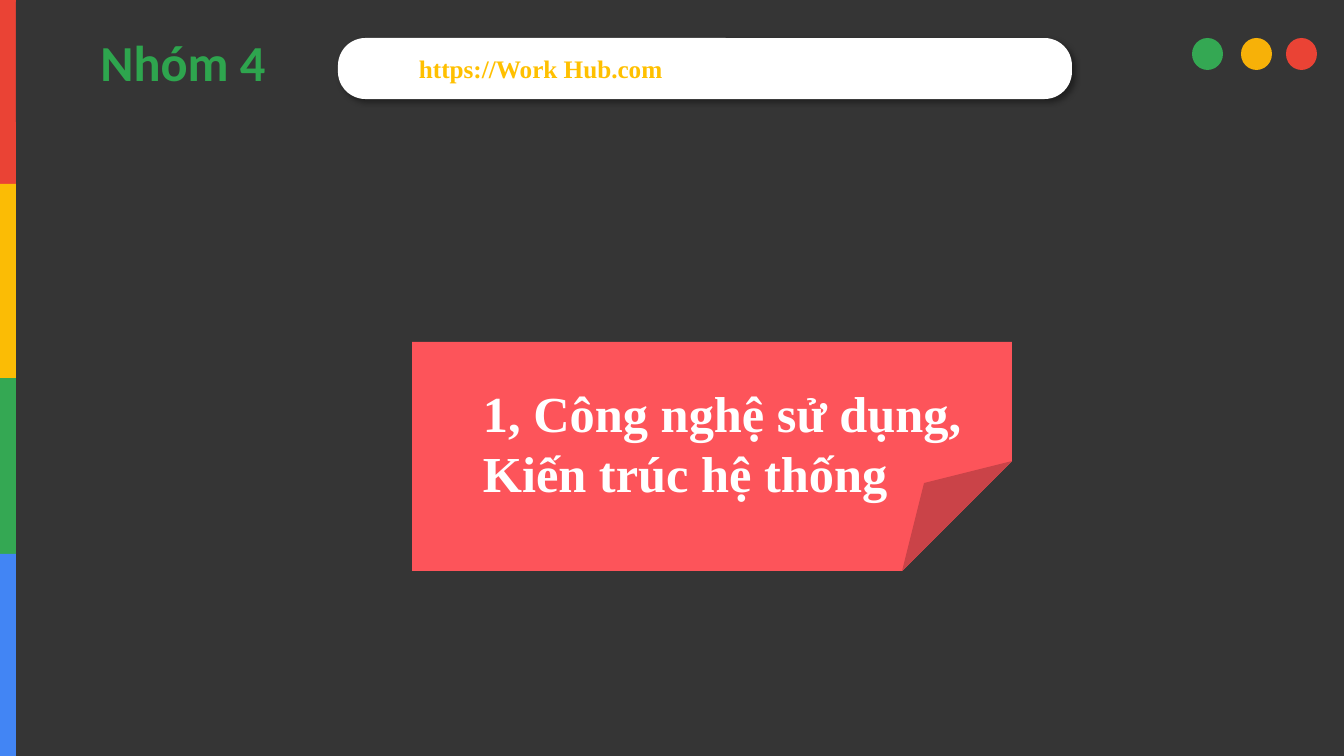
from dataclasses import dataclass
from itertools import pairwise
from typing import Any

import lxml.etree
import pptx
import pptx.dml.color
import pptx.enum.shapes
import pptx.enum.text
import pptx.oxml
import pptx.oxml.ns
import pptx.util

SCALE = 914400 / 100.8
SHAPE = pptx.enum.shapes.MSO_SHAPE
ALIGN = pptx.enum.text.PP_ALIGN


@dataclass(frozen=True)
class Theme:
    back: str = "353535"
    red: str = "EA4335"
    yellow: str = "FBBC05"
    green: str = "34A853"
    blue: str = "4285F4"
    amber: str = "F7B108"
    note: str = "FD545A"
    white: str = "FFFFFF"
    team: str = "2EA54E"
    link: str = "FFC000"
    large: int = 36
    small: int = 18
    serif: str = "Times New Roman"
    sans: str = "Calibri"


@dataclass(frozen=True)
class Box:
    left: int
    top: int
    width: int
    height: int

    def emu(self) -> list[pptx.util.Emu]:
        return [px(n) for n in (self.left, self.top, self.width, self.height)]


@dataclass(frozen=True)
class Dot:
    left: int
    color: str


THEME = Theme()
WIDTH, HEIGHT = 1344, 756
STRIPE = 16
EDGES = (0, 184, 378, 554, HEIGHT)
HUES = (THEME.red, THEME.yellow, THEME.green, THEME.blue)
DOTS = (Dot(1192, THEME.green), Dot(1241, THEME.amber), Dot(1286, THEME.red))


def px(count: int) -> pptx.util.Emu:
    return pptx.util.Emu(round(count * SCALE))


def rgb(color: str) -> pptx.dml.color.RGBColor:
    return pptx.dml.color.RGBColor.from_string(color)


def add_form(slide: Any, kind: Any, box: Box, color: str) -> Any:
    """Add a flat preset shape."""
    form = slide.shapes.add_shape(kind, *box.emu())
    form.shadow.inherit = False
    form.fill.solid()
    form.fill.fore_color.rgb = rgb(color)
    form.line.fill.background()
    return form


def add_text(slide: Any, text: str, box: Box, *, size: int, font: str,
             color: str, align: Any = ALIGN.LEFT) -> None:
    frame = slide.shapes.add_textbox(*box.emu()).text_frame
    frame.word_wrap = True
    frame.auto_size = pptx.enum.text.MSO_AUTO_SIZE.SHAPE_TO_FIT_TEXT
    line = frame.paragraphs[0]
    line.alignment = align
    run = line.add_run()
    run.text = text
    run.font.size = pptx.util.Pt(size)
    run.font.name = font
    run.font.bold = True
    run.font.color.rgb = rgb(color)


def set_fold(form: Any, share: float) -> None:
    """Set the corner fold, which python-pptx lists no adjustment for."""
    guides = next(form.element.spPr.iter(pptx.oxml.ns.qn("a:avLst")))
    lxml.etree.SubElement(guides, pptx.oxml.ns.qn("a:gd"),
                          name="adj", fmla=f"val {round(share * 100000)}")


def cast_shadow(form: Any) -> None:
    shade = pptx.oxml.parse_xml(
        f'<a:outerShdw {pptx.oxml.ns.nsdecls("a")} blurRad="50800" dist="38100" '
        'dir="2700000" algn="tl" rotWithShape="0"><a:srgbClr val="000000">'
        '<a:alpha val="40000"/></a:srgbClr></a:outerShdw>')
    form.element.spPr.find(pptx.oxml.ns.qn("a:effectLst")).append(shade)


def add_note(slide: Any) -> None:
    note = add_form(slide, SHAPE.FOLDED_CORNER, Box(412, 342, 600, 229), THEME.note)
    set_fold(note, 0.48)
    add_text(slide, "1, Công nghệ sử dụng, Kiến trúc hệ thống", Box(473, 377, 503, 132),
             size=THEME.large, font=THEME.serif, color=THEME.white)


def add_stripe(slide: Any) -> None:
    for (top, end), hue in zip(pairwise(EDGES), HUES):
        add_form(slide, SHAPE.RECTANGLE, Box(0, top, STRIPE, end - top), hue)


def add_header(slide: Any) -> None:
    add_form(slide, SHAPE.RECTANGLE, Box(STRIPE, 2, WIDTH - STRIPE, 120), THEME.back)
    field = add_form(slide, SHAPE.ROUNDED_RECTANGLE, Box(338, 38, 734, 61), THEME.white)
    field.adjustments[0] = 0.45
    cast_shadow(field)
    add_text(slide, "Nhóm 4", Box(25, 26, 316, 87), size=THEME.large,
             font=THEME.sans, color=THEME.team, align=ALIGN.CENTER)
    add_text(slide, "https://Work Hub.com", Box(409, 48, 585, 40), size=THEME.small,
             font=THEME.serif, color=THEME.link)
    for dot in DOTS:
        add_form(slide, SHAPE.OVAL, Box(dot.left, 38, 31, 32), dot.color)


def main() -> None:
    deck = pptx.Presentation()
    deck.slide_width, deck.slide_height = px(WIDTH), px(HEIGHT)
    slide = deck.slides.add_slide(deck.slide_layouts[6])
    slide.background.fill.solid()
    slide.background.fill.fore_color.rgb = rgb(THEME.back)
    add_note(slide)
    add_stripe(slide)
    add_header(slide)
    deck.save("out.pptx")


if __name__ == "__main__":
    main()
